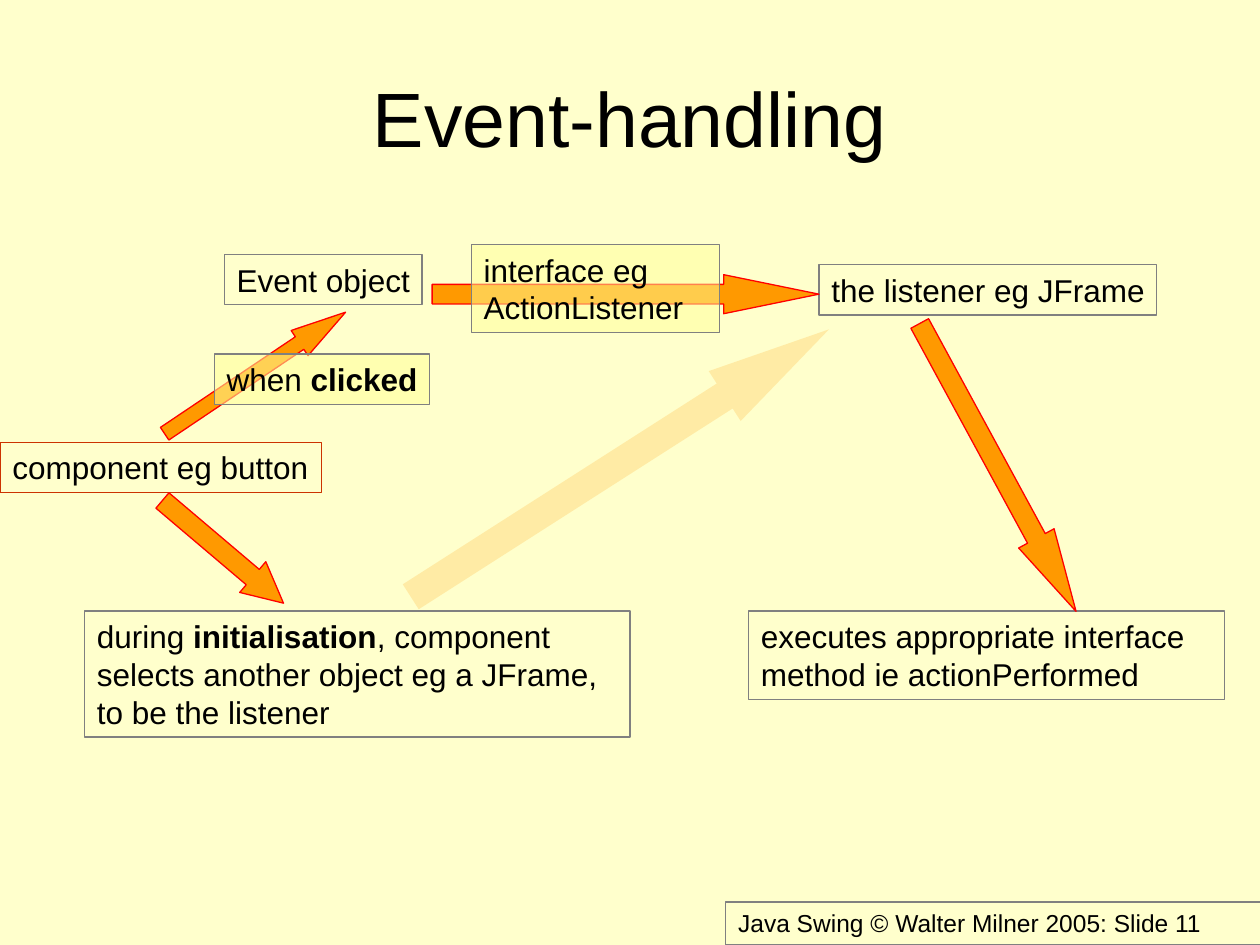
from lxml.etree import SubElement
from pptx import Presentation
from pptx.dml.color import RGBColor
from pptx.enum.shapes import MSO_SHAPE
from pptx.enum.text import MSO_ANCHOR, PP_ALIGN
from pptx.oxml.ns import qn
from pptx.util import Inches, Pt

CREAM, YELLOW, ORANGE = "FFFFCC", "FFFF99", "FF9900"
GREY, RED, BRICK, BLACK = "808080", "FF0000", "CC3300", "000000"


def rgb(value):
    return RGBColor.from_string(value)


def add_text(shape, text, size=18, bold="", align=PP_ALIGN.LEFT,
             anchor=MSO_ANCHOR.TOP, wrap=True):
    """Write text into a shape, with the word given as bold set in bold."""
    tf = shape.text_frame
    tf.word_wrap = wrap
    tf.vertical_anchor = anchor
    p = tf.paragraphs[0]
    p.alignment = align
    before, word, after = text.partition(bold) if bold else (text, "", "")
    for part in filter(None, (before, word, after)):
        r = p.add_run()
        r.text = part
        r.font.name = "Arial"
        r.font.size = Pt(size)
        r.font.bold = bool(bold) and part == word
        r.font.color.rgb = rgb(BLACK)


def add_shape(s, kind, at, fill=None, alpha=None, line=None):
    sp = s.shapes.add_shape(kind, *map(Inches, at))
    sp.shadow.inherit = False
    if fill:
        sp.fill.solid()
        sp.fill.fore_color.rgb = rgb(fill)
        if alpha:
            color = sp.fill._xPr.find(".//" + qn("a:srgbClr"))
            SubElement(color, qn("a:alpha"), val=str(alpha * 1000))
    else:
        sp.fill.background()
    if line:
        sp.line.color.rgb = rgb(line)
        sp.line.width = Pt(0.75)
    else:
        sp.line.fill.background()
    return sp


def add_box(s, at, text, line=GREY, fill=None, alpha=None, **text_format):
    sp = add_shape(s, MSO_SHAPE.RECTANGLE, at, fill, alpha, line)
    add_text(sp, text, **text_format)


def add_arrow(s, at, rotation, head, line=RED, alpha=None):
    """Block arrow; head is the head length in multiples of its height."""
    sp = add_shape(s, MSO_SHAPE.RIGHT_ARROW, at, ORANGE, alpha, line)
    sp.rotation = rotation
    sp.adjustments[0] = 0.5
    sp.adjustments[1] = head


def main():
    prs = Presentation()
    prs.slide_width, prs.slide_height = Inches(10), Inches(7.5)
    s = prs.slides.add_slide(prs.slide_layouts[6])
    s.background.fill.solid()
    s.background.fill.fore_color.rgb = rgb(CREAM)

    # Footer and title
    add_box(s, (5.76, 7.16, 4.57, 0.34),
            "Java Swing © Walter Milner 2005: Slide 11", size=14)
    title = s.shapes.add_textbox(*map(Inches, (0.5, 0.3, 9, 1.25)))
    add_text(title, "Event-handling", size=44, align=PP_ALIGN.CENTER,
             anchor=MSO_ANCHOR.MIDDLE)

    # Steps of the event flow
    add_box(s, (0, 3.51, 2.55, 0.4), "component eg button", line=BRICK, wrap=False)
    add_box(s, (0.67, 4.85, 4.33, 1),
            "during initialisation, component selects another object "
            "eg a JFrame, to be the listener", bold="initialisation")
    add_box(s, (1.78, 2.02, 1.57, 0.4), "Event object", wrap=False)
    add_box(s, (6.5, 2.1, 2.68, 0.4), "the listener eg JFrame", wrap=False)
    add_box(s, (5.94, 4.85, 3.78, 0.7),
            "executes appropriate interface method ie actionPerformed")

    # Arrows, with the translucent labels lying over them
    add_arrow(s, (1.14, 4.22, 1.26, 0.32), 40.3, 1)
    add_arrow(s, (1.16, 2.84, 1.73, 0.24), 326.1, 1.83)
    add_arrow(s, (3.43, 2.18, 3.07, 0.31), 0, 2.44)
    add_box(s, (3.74, 1.94, 1.97, 0.7), "interface eg ActionListener",
            fill=YELLOW, alpha=50)
    add_arrow(s, (2.95, 3.44, 3.94, 0.47), 327.4, 2.09, line=None, alpha=19)
    add_arrow(s, (6.62, 3.55, 2.6, 0.32), 61.5, 2.06)
    add_box(s, (1.7, 2.81, 1.71, 0.4), "when clicked", bold="clicked",
            fill=YELLOW, alpha=55, wrap=False)

    prs.save("out.pptx")


if __name__ == "__main__":
    main()
